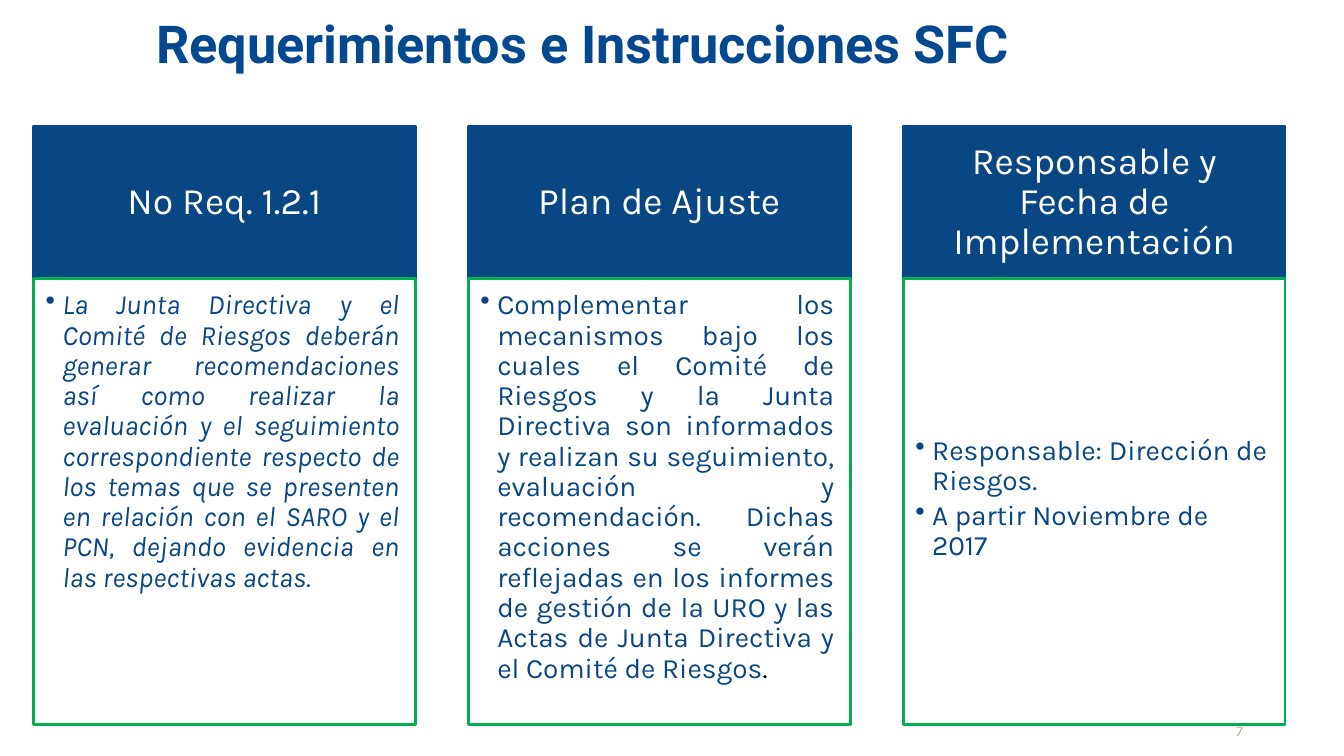
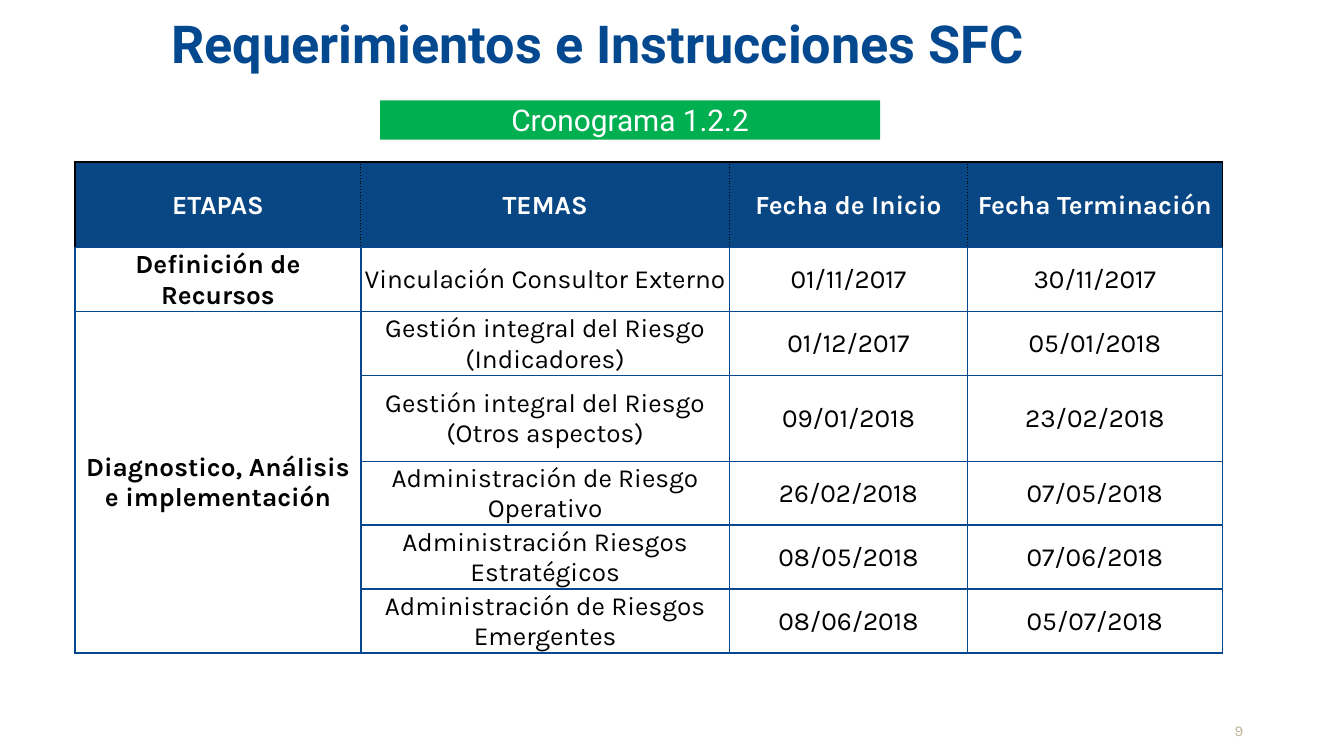
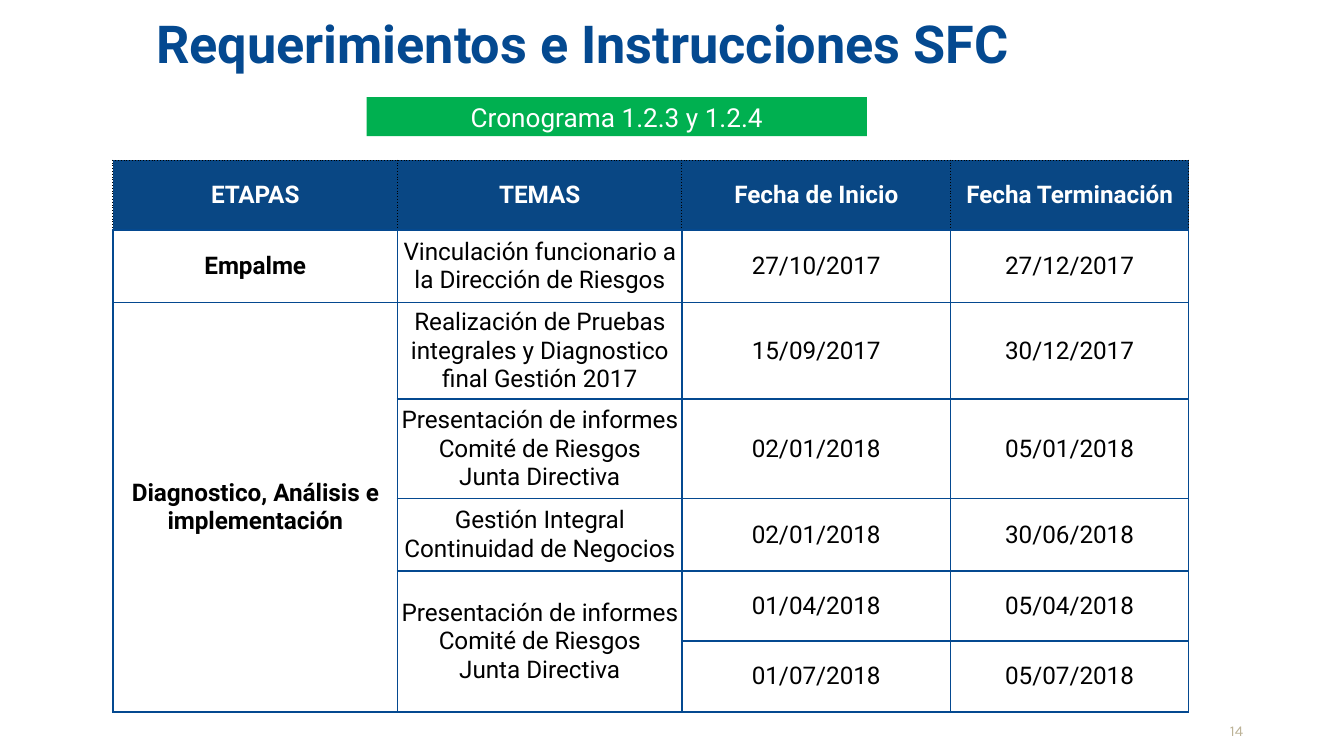
from copy import deepcopy

from lxml.etree import SubElement
from pptx import Presentation
from pptx.dml.color import RGBColor
from pptx.enum.shapes import MSO_SHAPE
from pptx.enum.text import MSO_ANCHOR, MSO_AUTO_SIZE, PP_ALIGN
from pptx.oxml.ns import qn
from pptx.util import Pt

BLUE, NAVY, GREEN = "044990", "094784", "00B050"
WHITE, BLACK, SAND = "FFFFFF", "000000", "BCB296"
TITLE = "Requerimientos e Instrucciones SFC"

CARDS = [
    {"head": "No Req. 1.2.1", "align": PP_ALIGN.JUSTIFY, "anchor": MSO_ANCHOR.TOP, "italic": True,
     "items": ["La Junta Directiva y el Comité de Riesgos deberán generar recomendaciones así como "
               "realizar la evaluación y el seguimiento correspondiente respecto de los temas que se "
               "presenten en relación con el SARO y el PCN, dejando evidencia en las respectivas actas."]},
    {"head": "Plan de Ajuste", "align": PP_ALIGN.JUSTIFY, "anchor": MSO_ANCHOR.TOP, "end": ".",
     "items": ["Complementar los mecanismos bajo los cuales el Comité de Riesgos y la Junta Directiva "
               "son informados y realizan su seguimiento, evaluación y recomendación. Dichas acciones "
               "se verán reflejadas en los informes de gestión de la URO y las Actas de Junta Directiva "
               "y el Comité de Riesgos"]},
    {"head": "Responsable y Fecha de Implementación", "align": PP_ALIGN.LEFT, "anchor": MSO_ANCHOR.MIDDLE,
     "items": ["Responsable: Dirección de Riesgos.", "A partir Noviembre de 2017"]},
]

HEADINGS = ("ETAPAS", "TEMAS", "Fecha de Inicio", "Fecha Terminación")
STAGE = "Diagnostico, Análisis e implementación"
REPORTS = "Presentación de informes\nComité de Riesgos\nJunta Directiva"
SCHEDULES = [
    {"number": "9", "title_left": 26, "band": "Cronograma 1.2.2", "band_at": (203.6, 53.8), "band_size": 16,
     "table_at": (40.3, 86.7), "font": "Karla", "size": 14, "inset": 0.6, "edge": (BLACK, 1, "solid"),
     "columns": (153, 197.6, 127.4, 136.6), "heights": (46, 33, 33.6, 46, 33.6, 33.6, 33.6),
     "rows": [
         HEADINGS,
         ("Definición de Recursos", "Vinculación Consultor Externo", "01/11/2017", "30/11/2017"),
         (STAGE, "Gestión integral del Riesgo (Indicadores)", "01/12/2017", "05/01/2018"),
         (None, "Gestión integral del Riesgo (Otros aspectos)", "09/01/2018", "23/02/2018"),
         (None, "Administración de Riesgo Operativo", "26/02/2018", "07/05/2018"),
         (None, "Administración Riesgos Estratégicos", "08/05/2018", "07/06/2018"),
         (None, "Administración de Riesgos Emergentes", "08/06/2018", "05/07/2018")]},
    {"number": "14", "title_left": 18, "band": "Cronograma 1.2.3 y 1.2.4", "band_at": (196.5, 52), "band_size": 14,
     "table_at": (60.5, 85.8), "font": "Roboto", "size": 13, "inset": 0, "edge": (BLACK, 0.5, "sysDot"),
     "columns": (152.5, 152.3, 144, 127.5), "heights": (37.4, 38.9, 51.8, 53.2, 38.9, 37.4, 38.2),
     "rows": [
         HEADINGS,
         ("Empalme", "Vinculación funcionario a la Dirección de Riesgos", "27/10/2017", "27/12/2017"),
         (STAGE, "Realización de Pruebas integrales y Diagnostico final Gestión 2017", "15/09/2017", "30/12/2017"),
         (None, REPORTS, "02/01/2018", "05/01/2018"),
         (None, "Gestión Integral Continuidad de Negocios", "02/01/2018", "30/06/2018"),
         (None, REPORTS, "01/04/2018", "05/04/2018"),
         (None, None, "01/07/2018", "05/07/2018")]},
]


def color(value):
    """Turn a hex string into a colour."""
    return RGBColor.from_string(value)


def apply(target, values):
    """Set each named attribute on the target."""
    for name, value in values.items():
        setattr(target, name, value)


def set_frame(holder, anchor, insets):
    """Set the anchor and the left, top, right and bottom insets."""
    sides = ("margin_left", "margin_top", "margin_right", "margin_bottom")
    apply(holder, {"vertical_anchor": anchor, **dict(zip(sides, map(Pt, insets)))})


def style_span(span, font, size, ink, **extra):
    """Format one run of text."""
    apply(span.font, {"name": font, "size": Pt(size), **extra})
    span.font.color.rgb = color(ink)


def write(para, text, font, size, ink, align=PP_ALIGN.CENTER, spacing=1.0, **extra):
    """Write formatted text, with line breaks, into a paragraph."""
    para.text = text
    apply(para, {"alignment": align, "line_spacing": spacing})
    for span in para.runs:
        style_span(span, font, size, ink, **extra)
    for line_break in para._p.findall(qn("a:br")):
        line_break.insert(0, deepcopy(para.runs[0]._r.rPr))


def add_page(deck, number, title_left=18):
    """Add a slide with its title and page number."""
    page = deck.slides.add_slide(deck.slide_layouts[5])
    title = page.shapes.title
    apply(title, {"left": Pt(title_left), "top": Pt(11), "width": Pt(588), "height": Pt(21)})
    set_frame(title.text_frame, MSO_ANCHOR.TOP, (0, 0, 0, 0))
    title.text_frame.auto_size = MSO_AUTO_SIZE.NONE
    write(title.text_frame.paragraphs[0], TITLE, "Roboto", 28, BLUE, spacing=0.85, bold=True)
    box = page.shapes.add_textbox(Pt(643), Pt(386.6), Pt(23), Pt(9.4))
    set_frame(box.text_frame, MSO_ANCHOR.BOTTOM, (0, 0, 0, 0))
    box.text_frame.word_wrap = True
    write(box.text_frame.paragraphs[0], number, "Karla", 8, SAND, align=PP_ALIGN.RIGHT)
    return page


def add_box(page, at, fill=None, line=None):
    """Add a rectangle and return its text frame."""
    box = page.shapes.add_shape(MSO_SHAPE.RECTANGLE, *map(Pt, at))
    box.shadow.inherit = False
    for paint, ink in ((box.fill, fill), (box.line.fill, line)):
        if ink:
            paint.solid()
            paint.fore_color.rgb = color(ink)
        else:
            paint.background()
    if line:
        box.line.width = Pt(1.5)
    box.text_frame.word_wrap = True
    return box.text_frame


def add_bullet(para):
    """Give a paragraph a hanging bullet."""
    properties = para._p.get_or_add_pPr()
    properties.set("marL", str(Pt(9)))
    properties.set("indent", str(-Pt(9)))
    SubElement(properties, qn("a:buChar"), char="•")


def add_card(page, left, card):
    """Add a heading box above its bulleted box."""
    head = add_box(page, (left, 67.5, 204.5, 81.8), NAVY, BLUE)
    set_frame(head, MSO_ANCHOR.MIDDLE, (11.2, 6.4, 11.2, 6.4))
    write(head.paragraphs[0], card["head"], "Karla", 20, WHITE, spacing=0.9)
    body = add_box(page, (left, 149.3, 204.5, 239), line=GREEN)
    set_frame(body, card["anchor"], (6.4, 6.4, 8.5, 9.6))
    for index, item in enumerate(card["items"]):
        para = body.add_paragraph() if index else body.paragraphs[0]
        write(para, item, "Karla", 15, NAVY, card["align"], 0.9, italic=card.get("italic", False))
        apply(para, {"level": 1, "space_after": Pt(2.25)})
        add_bullet(para)
    if "end" in card:
        span = para.add_run()
        span.text = card["end"]
        style_span(span, "Karla", 15, BLACK)


def set_borders(cell, borders):
    """Draw the left, right, top and bottom borders of a cell."""
    properties = cell._tc.get_or_add_tcPr()
    for index, (side, (ink, width, dash)) in enumerate(zip("LRTB", borders)):
        line = SubElement(properties, qn(f"a:ln{side}"), w=str(Pt(width)))
        SubElement(SubElement(line, qn("a:solidFill")), qn("a:srgbClr"), val=ink)
        SubElement(line, qn("a:prstDash"), val=dash)
        properties.insert(index, line)


def add_schedule(page, plan):
    """Add the schedule table, merging cells down over empty ones."""
    rows, columns, heights = plan["rows"], plan["columns"], plan["heights"]
    size = (sum(columns), sum(heights))
    table = page.shapes.add_table(len(rows), len(columns), *map(Pt, plan["table_at"] + size)).table
    apply(table, {"first_row": False, "horz_banding": False})
    for column, width in zip(table.columns, columns):
        column.width = Pt(width)
    for row, height in zip(table.rows, heights):
        row.height = Pt(height)
    rule, dots, edge = (BLUE, 1, "solid"), (BLACK, 0.5, "sysDot"), plan["edge"]
    last = len(columns) - 1
    for i, texts in enumerate(rows):
        for j, text in enumerate(texts):
            cell = table.cell(i, j)
            if i:
                cell.fill.background()
                set_borders(cell, [rule] * 4)
            else:
                cell.fill.solid()
                cell.fill.fore_color.rgb = color(NAVY)
                set_borders(cell, (dots if j else edge, dots if j < last else edge, edge, rule))
            set_frame(cell, MSO_ANCHOR.MIDDLE, (plan["inset"],) * 3 + (0,))
            if text is None:
                continue
            write(cell.text_frame.paragraphs[0], text, plan["font"], plan["size"],
                  BLACK if i else WHITE, bold=i == 0 or j == 0)
            end = i
            while end + 1 < len(rows) and rows[end + 1][j] is None:
                end += 1
            if end > i:
                cell.merge(table.cell(end, j))


def main():
    """Build and save the deck."""
    deck = Presentation()
    apply(deck, {"slide_width": Pt(720), "slide_height": Pt(405)})
    page = add_page(deck, "7")
    for index, card in enumerate(CARDS):
        add_card(page, 18 + 233 * index, card)
    for plan in SCHEDULES:
        page = add_page(deck, plan["number"], plan["title_left"])
        band = add_box(page, plan["band_at"] + (268, 21), GREEN)
        set_frame(band, MSO_ANCHOR.MIDDLE, (18,) * 4)
        band.word_wrap = False
        write(band.paragraphs[0], plan["band"], "Roboto", plan["band_size"], WHITE)
        add_schedule(page, plan)
    deck.save("out.pptx")


if __name__ == "__main__":
    main()
